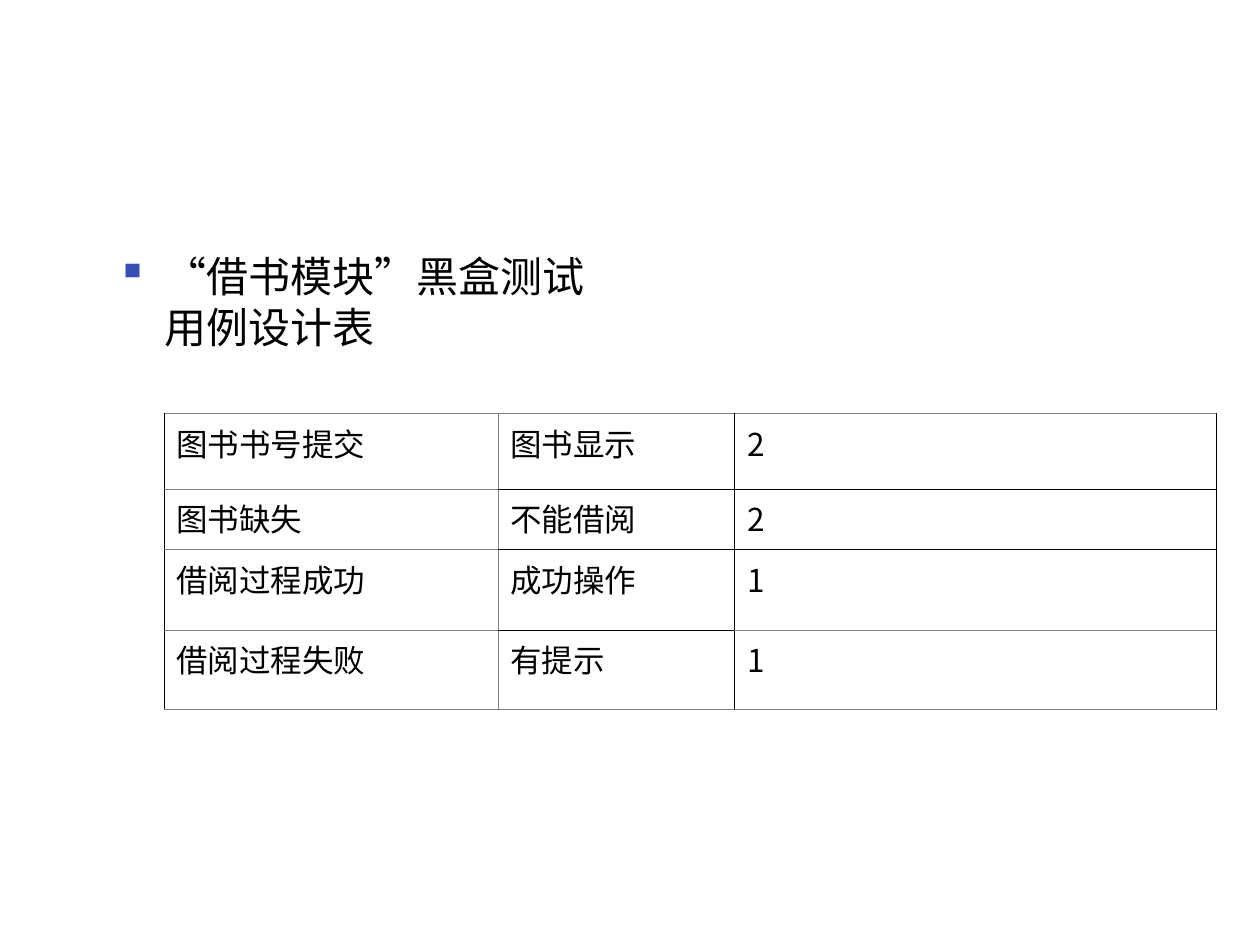
import pptx
import pptx.dml.color
import pptx.oxml
import pptx.oxml.ns
import pptx.util
from pptx.util import Inches

BLACK = pptx.dml.color.RGBColor(0x00, 0x00, 0x00)
GREY = pptx.dml.color.RGBColor(0x7F, 0x7F, 0x7F)
WHITE = pptx.dml.color.RGBColor(0xFF, 0xFF, 0xFF)
BULLET_BLUE = pptx.dml.color.RGBColor(0x36, 0x4E, 0xB6)

CJK_FONT = "Noto Sans CJK SC"
HEADING_FORMAT = {"name": "Times New Roman", "size": pptx.util.Pt(24)}
CELL_FORMAT = {"name": CJK_FONT, "size": pptx.util.Pt(18)}

COLUMN_WIDTHS = [2.65, 1.88, 3.82]
ROW_HEIGHTS = [0.6, 0.48, 0.64, 0.63]
TEST_CASES = [
    ["图书书号提交", "图书显示", "2"],
    ["图书缺失", "不能借阅", "2"],
    ["借阅过程成功", "成功操作", "1"],
    ["借阅过程失败", "有提示", "1"],
]
VERTICAL_RULES = [BLACK, GREY, BLACK, BLACK]
HORIZONTAL_RULES = [
    [GREY, GREY, GREY],
    [GREY, BLACK, BLACK],
    [GREY, BLACK, BLACK],
    [GREY, BLACK, GREY],
    [GREY, GREY, GREY],
]


def append_xml(parent, tag, content="", attributes=""):
    namespace = pptx.oxml.ns.nsdecls("a")
    parent.append(pptx.oxml.parse_xml(
        f"<a:{tag} {namespace} {attributes}>{content}</a:{tag}>"))


def write_text(paragraph, text, text_format):
    run = paragraph.add_run()
    run.text = text
    for name, value in text_format.items():
        setattr(run.font, name, value)
    run.font.color.rgb = BLACK
    properties = run.font._element
    properties.set("lang", "zh-CN")
    append_xml(properties, "ea", attributes=f'typeface="{CJK_FONT}"')


def add_heading(slide, text):
    shape = slide.shapes.add_textbox(
        Inches(0.83), Inches(1.94), Inches(4.21), Inches(5.08))
    shape.text_frame.word_wrap = True
    paragraph = shape.text_frame.paragraphs[0]
    properties = paragraph._p.get_or_add_pPr()
    indent = Inches(0.38)
    properties.set("marL", str(indent))
    properties.set("indent", str(-indent))
    append_xml(properties, "buClr", f'<a:srgbClr val="{BULLET_BLUE}"/>')
    append_xml(properties, "buChar", attributes='char="▪"')
    write_text(paragraph, text, HEADING_FORMAT)


def set_borders(cell, colors):
    properties = cell._tc.get_or_add_tcPr()
    width = pptx.util.Pt(0.23)
    for tag, color in colors.items():
        fill = f'<a:solidFill><a:srgbClr val="{color}"/></a:solidFill>'
        append_xml(properties, tag, fill, f'w="{width}"')


def add_case_table(slide):
    frame = slide.shapes.add_table(
        len(ROW_HEIGHTS), len(COLUMN_WIDTHS), Inches(1.3), Inches(3.28),
        Inches(sum(COLUMN_WIDTHS)), Inches(sum(ROW_HEIGHTS)))
    table = frame.table
    table.first_row = False
    table.horz_banding = False
    for column, width in zip(table.columns, COLUMN_WIDTHS):
        column.width = Inches(width)
    for row, height in zip(table.rows, ROW_HEIGHTS):
        row.height = Inches(height)
    for row_index, texts in enumerate(TEST_CASES):
        for column_index, text in enumerate(texts):
            cell = table.cell(row_index, column_index)
            write_text(cell.text_frame.paragraphs[0], text, CELL_FORMAT)
            set_borders(cell, {
                "lnL": VERTICAL_RULES[column_index],
                "lnR": VERTICAL_RULES[column_index + 1],
                "lnT": HORIZONTAL_RULES[row_index][column_index],
                "lnB": HORIZONTAL_RULES[row_index + 1][column_index],
            })
            cell.fill.solid()
            cell.fill.fore_color.rgb = WHITE


def main():
    presentation = pptx.Presentation()
    presentation.slide_width = Inches(10)
    presentation.slide_height = Inches(7.5)
    slide = presentation.slides.add_slide(presentation.slide_layouts[6])
    add_heading(slide, "“借书模块”黑盒测试用例设计表")
    add_case_table(slide)
    presentation.save("out.pptx")


if __name__ == "__main__":
    main()
